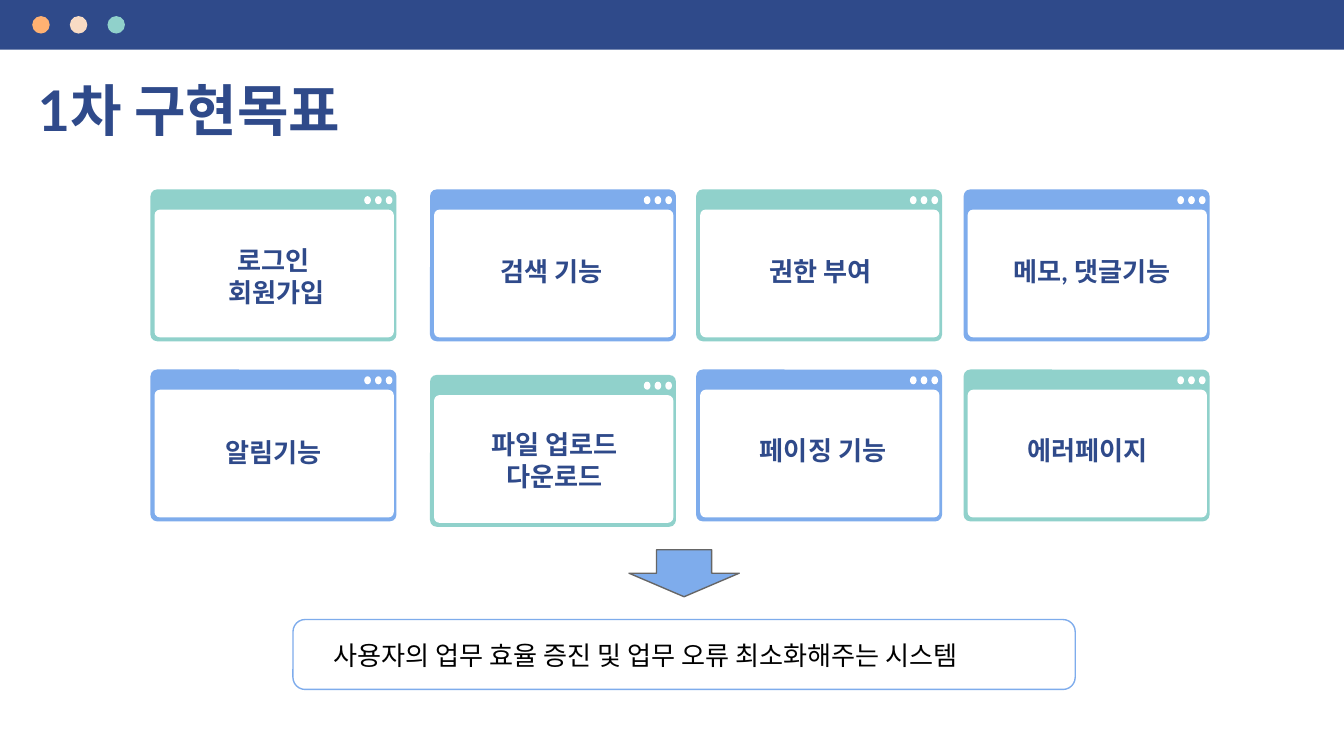
import pptx
import pptx.util
import pptx.dml.color
import pptx.enum.shapes
import pptx.enum.text

Inches = pptx.util.Inches
RGBColor = pptx.dml.color.RGBColor
Shape = pptx.enum.shapes.MSO_SHAPE
Align = pptx.enum.text.PP_ALIGN

NAVY = RGBColor(0x2F, 0x4A, 0x8A)
BLUE = RGBColor(0x7E, 0xAC, 0xEC)
TEAL = RGBColor(0x90, 0xD1, 0xCB)
ORANGE = RGBColor(0xFF, 0xB1, 0x72)
CREAM = RGBColor(0xF8, 0xDB, 0xC4)
GREY = RGBColor(0x66, 0x66, 0x66)
WHITE = RGBColor(0xFF, 0xFF, 0xFF)
BLACK = RGBColor(0, 0, 0)

CARD_SIZE = (1.83, 1.13)
COLUMNS = (1.12, 3.2, 5.18, 7.17)
ROWS = (1.41, 2.75)
NARROW, WIDE = 1.63, 1.83

CARDS = (
    (
        {"lines": ("로그인", " 회원가입"), "offset": (0.1, 0.31), "label_width": NARROW},
        {"lines": ("검색 기능",), "offset": (-0.01, 0.39), "label_width": WIDE},
        {"lines": ("권한 부여",), "offset": (0.11, 0.39), "label_width": NARROW},
        {"lines": ("메모, 댓글기능",), "offset": (0.04, 0.39), "label_width": WIDE},
    ),
    (
        {"lines": ("알림기능",), "offset": (0, 0.4), "label_width": WIDE},
        {
            "lines": ("파일 업로드 다운로드",),
            "offset": (0.11, 0.3),
            "label_width": NARROW,
            "drop": 0.04,
        },
        {"lines": ("페이징 기능",), "offset": (0.03, 0.38), "label_width": WIDE},
        {"lines": ("에러페이지",), "offset": (0.11, 0.38), "label_width": NARROW},
    ),
)

HEADING = {"size": pptx.util.Pt(30), "name": "Lato", "bold": True}
LABEL = {"size": pptx.util.Pt(14), "name": "Lato", "bold": True}
BODY = {"size": pptx.util.Pt(14), "name": "Montserrat", "bold": False}


def add_box(shapes, kind, box, fill, line=None, corner=None):
    """Add a flat preset shape with an optional outline and corner radius."""
    left, top, width, height = box
    shape = shapes.add_shape(kind, *map(Inches, box))
    shape.shadow.inherit = False
    shape.fill.solid()
    shape.fill.fore_color.rgb = fill
    if line is None:
        shape.line.fill.background()
    else:
        shape.line.color.rgb = line
        shape.line.width = pptx.util.Pt(0.75)
    if corner is not None:
        shape.adjustments[0] = corner / min(width, height)
    return shape


def write_text(shape, lines, style, colour, align):
    """Fill a shape with one formatted paragraph for each line."""
    frame = shape.text_frame
    settings = {
        "word_wrap": True,
        "auto_size": pptx.enum.text.MSO_AUTO_SIZE.NONE,
        "vertical_anchor": pptx.enum.text.MSO_ANCHOR.TOP,
    }
    for side in ("left", "top", "right", "bottom"):
        settings[f"margin_{side}"] = Inches(0.1)
    for name, value in settings.items():
        setattr(frame, name, value)
    for index, line in enumerate(lines):
        para = frame.add_paragraph() if index else frame.paragraphs[0]
        para.alignment = align
        span = para.add_run()
        span.text = line
        for name, value in style.items():
            setattr(span.font, name, value)
        span.font.color.rgb = colour


def add_header(page, box):
    """Draw the top band with its three coloured dots."""
    left, top, width, height = box
    add_box(page.shapes, Shape.RECTANGLE, box, NAVY)
    for index, colour in enumerate((ORANGE, CREAM, TEAL)):
        dot = (left + 0.24 + index * 0.28, top + 0.12, 0.13, 0.13)
        add_box(page.shapes, Shape.OVAL, dot, colour)


def add_title(page, box, text):
    """Place and format the title placeholder."""
    title = page.shapes.title
    for name, value in zip(("left", "top", "width", "height"), box):
        setattr(title, name, Inches(value))
    write_text(title, (text,), HEADING, NAVY, Align.LEFT)


def add_card(page, box, colour, lines, offset, label_width):
    """Draw a browser window card and its centred label."""
    left, top, width, height = box
    window = page.shapes.add_group_shape().shapes
    add_box(window, Shape.ROUNDED_RECTANGLE, box, colour, corner=0.05)
    pane = (left + 0.03, top + 0.15, width - 0.05, height - 0.18)
    add_box(window, Shape.ROUNDED_RECTANGLE, pane, WHITE, corner=0.04)
    for index in range(3):
        dot = (left + 1.59 + index * 0.08, top + 0.05, 0.05, 0.06)
        add_box(window, Shape.OVAL, dot, WHITE)
    place = (left + offset[0], top + offset[1], label_width, 0.52)
    label = page.shapes.add_textbox(*map(Inches, place))
    write_text(label, lines, LABEL, NAVY, Align.CENTER)


def add_cards(page):
    """Lay out the cards in rows whose colours alternate."""
    for row, cards in enumerate(CARDS):
        for column, card in enumerate(cards):
            colour = BLUE if (row + column) % 2 else TEAL
            box = (COLUMNS[column], ROWS[row] + card.get("drop", 0), *CARD_SIZE)
            add_card(
                page, box, colour, card["lines"], card["offset"], card["label_width"]
            )


def add_summary(page, box, text):
    """Draw the outlined conclusion with an arrow pointing down to it."""
    left, top, width, height = box
    add_box(page.shapes, Shape.ROUNDED_RECTANGLE, box, WHITE, BLUE, 0.09)
    place = (left + 0.2, top + 0.05, width - 0.39, 0.44)
    note = page.shapes.add_textbox(*map(Inches, place))
    write_text(note, (text,), BODY, BLACK, Align.LEFT)
    arrow = (left + (width - 0.82) / 2, top - 0.52, 0.82, 0.35)
    add_box(page.shapes, Shape.DOWN_ARROW, arrow, BLUE, GREY)


def main():
    """Build the deck and save it."""
    deck = pptx.Presentation()
    deck.slide_width = Inches(10)
    deck.slide_height = deck.slide_width * 9 // 16
    page = deck.slides.add_slide(deck.slide_layouts.get_by_name("Title Only"))
    add_header(page, (0, 0, 10, 0.37))
    add_title(page, (0.18, 0.46, 8.44, 0.51), "1차 구현목표")
    add_cards(page)
    add_summary(
        page,
        (2.18, 4.61, 5.82, 0.52),
        "사용자의 업무 효율 증진 및 업무 오류 최소화해주는 시스템",
    )
    deck.save("out.pptx")


if __name__ == "__main__":
    main()
